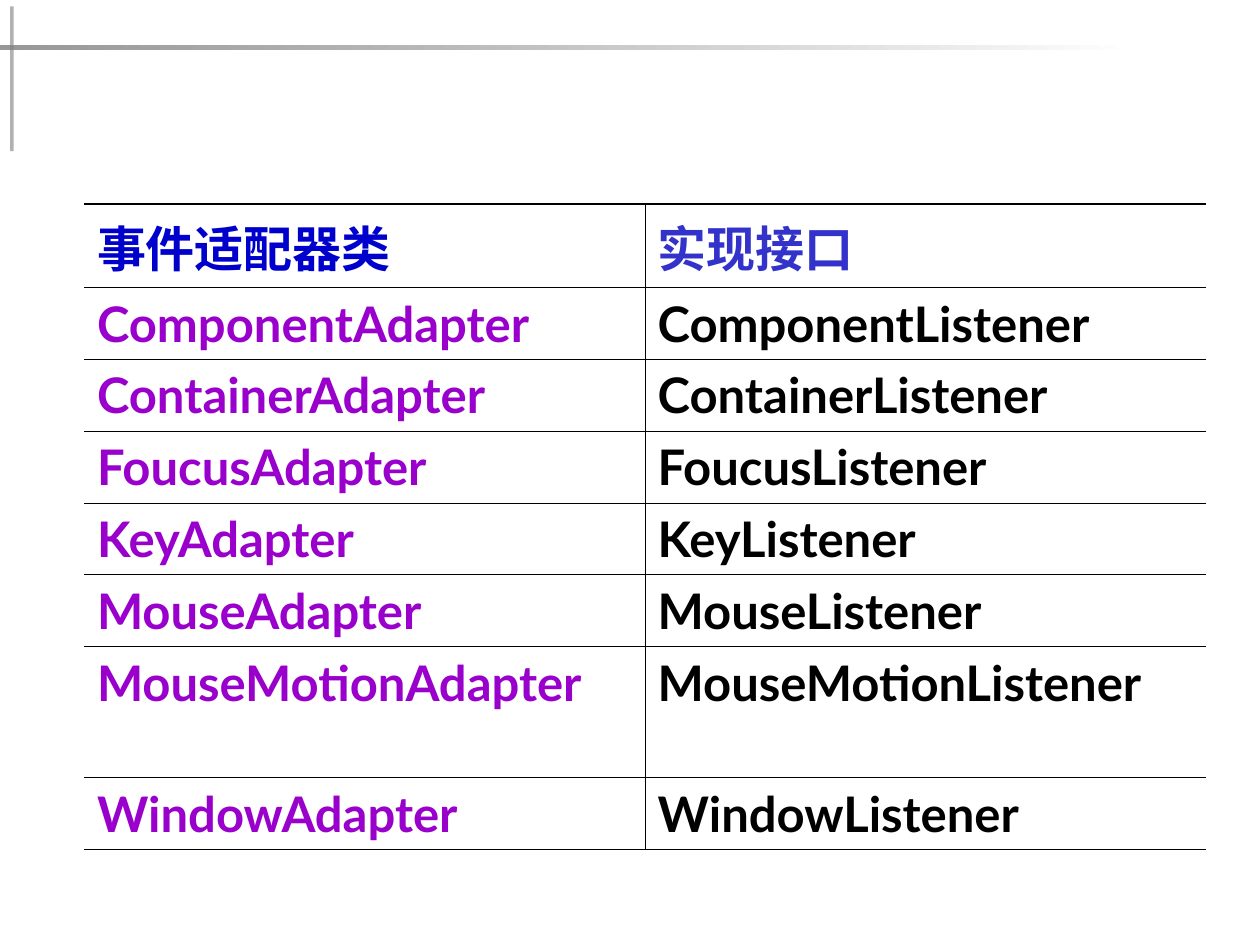
from lxml import etree
from pptx import Presentation
from pptx.dml.color import RGBColor
from pptx.enum.shapes import MSO_SHAPE
from pptx.oxml.ns import qn
from pptx.util import Inches, Pt

RECTANGLE = MSO_SHAPE.RECTANGLE
BLACK = RGBColor(0x00, 0x00, 0x00)
WHITE = RGBColor(0xFF, 0xFF, 0xFF)
CHARCOAL = RGBColor(0x1C, 0x1C, 0x1C)
GRAY = RGBColor(0x80, 0x80, 0x80)
BLUE = RGBColor(0x00, 0x00, 0xCC)
INDIGO = RGBColor(0x33, 0x33, 0xCC)
PURPLE = RGBColor(0x99, 0x00, 0xCC)
FONT = "Lato"
BLANK_LAYOUT = 6

HEADERS = ("事件适配器类", "实现接口")
EVENTS = ("Component", "Container", "Foucus", "Key", "Mouse", "MouseMotion", "Window")
ROW_HEIGHT = 0.57
TALL_ROWS = {"MouseMotion": 1.04}


def set_opacity(color_element, percent):
    """Make a colour element partly transparent."""
    etree.SubElement(color_element, qn("a:alpha"), val=str(percent * 1000))


def add_bar(page, left, top, width, height):
    """Add a plain rectangle without outline or shadow."""
    bar = page.shapes.add_shape(
        RECTANGLE, Inches(left), Inches(top), Inches(width), Inches(height))
    bar.shadow.inherit = False
    bar.line.fill.background()
    return bar


def add_corner_bars(page):
    """Add the crossing decorative bars at the top left."""
    upright = add_bar(page, 0.08, 0.05, 0.03, 1.15)
    upright.fill.solid()
    upright.fill.fore_color.rgb = CHARCOAL
    set_opacity(next(upright.element.spPr.iter(qn("a:srgbClr"))), 34)

    level = add_bar(page, 0, 0.36, 9, 0.03)
    level.fill.gradient()
    level.fill.gradient_angle = 0
    for stop, color, position in zip(level.fill.gradient_stops, (GRAY, WHITE), (0, 1)):
        stop.color.rgb = color
        stop.position = position
    set_opacity(next(level.element.spPr.iter(qn("a:srgbClr"))), 81)


def set_borders(cell, widths):
    """Draw black cell edges, leaving out those of zero width."""
    properties = cell._tc.get_or_add_tcPr()
    for edge, width in widths.items():
        line = etree.SubElement(properties, qn(f"a:ln{edge}"), w=str(Pt(width)))
        if width:
            fill = etree.SubElement(line, qn("a:solidFill"))
            etree.SubElement(fill, qn("a:srgbClr"), val=str(BLACK))
        else:
            etree.SubElement(line, qn("a:noFill"))


def fill_cell(cell, text, color, widths):
    """Write one table cell with its text and borders."""
    set_borders(cell, widths)
    cell.fill.background()
    cell.text_frame.text = text
    font = cell.text_frame.paragraphs[0].runs[0].font
    font.name = FONT
    font.size = Pt(28)
    font.bold = True
    font.color.rgb = color


def add_adapter_table(page, left, top, width):
    """Add the table of adapter classes and their listener interfaces."""
    rows = [HEADERS] + [(f"{event}Adapter", f"{event}Listener") for event in EVENTS]
    heights = [ROW_HEIGHT] + [TALL_ROWS.get(event, ROW_HEIGHT) for event in EVENTS]
    table = page.shapes.add_table(
        len(rows), 2, Inches(left), Inches(top), Inches(width), Inches(sum(heights))).table
    table.first_row = False
    table.horz_banding = False
    for row_index, (texts, height) in enumerate(zip(rows, heights)):
        table.rows[row_index].height = Inches(height)
        is_header = row_index == 0
        colors = (BLUE, INDIGO) if is_header else (PURPLE, BLACK)
        for column, (text, color) in enumerate(zip(texts, colors)):
            widths = {
                "L": 0.45 if column == 1 else 0,
                "R": 0.45 if column == 0 else 0,
                "T": 1.08 if is_header else 0.45,
                "B": 0.45,
            }
            fill_cell(table.cell(row_index, column), text, color, widths)


def main():
    """Build and save the deck."""
    deck = Presentation()
    deck.slide_width = Inches(10)
    deck.slide_height = Inches(7.5)
    page = deck.slides.add_slide(deck.slide_layouts[BLANK_LAYOUT])
    add_corner_bars(page)
    add_adapter_table(page, 0.67, 1.62, 8.9)
    deck.save("out.pptx")


if __name__ == "__main__":
    main()
